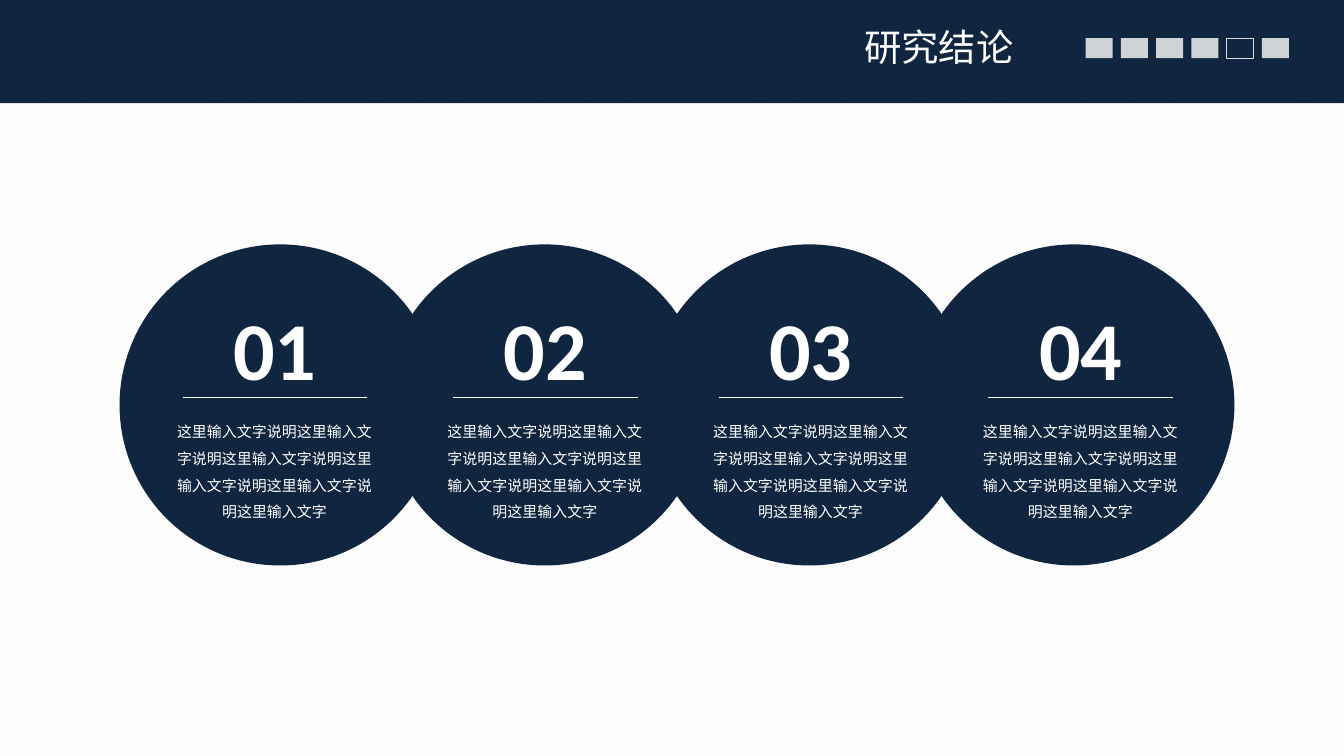
"""Build the research conclusions slide: four overlapping numbered circles under a header band."""
import dataclasses

import lxml.etree
import pptx
import pptx.dml.color
import pptx.enum.dml
import pptx.enum.shapes
import pptx.enum.text
import pptx.oxml.ns
import pptx.util

Cm = pptx.util.Cm
Pt = pptx.util.Pt
Shape = pptx.enum.shapes.MSO_SHAPE
Align = pptx.enum.text.PP_ALIGN
qn = pptx.oxml.ns.qn

HEADING = "研究结论"
STEP_COUNT, CURRENT_STEP = 6, 4
EXPLANATION = "这里输入文字说明" * 5 + "这里输入文字"
CONCLUSIONS = [
    {"number": "01", "text_left": 3.3},
    {"number": "02", "text_left": 8.41},
    {"number": "03", "text_left": 13.43},
    {"number": "04", "text_left": 18.53},
]


@dataclasses.dataclass(frozen=True)
class Theme:
    """Colours, fonts and type sizes."""
    navy: str = "10253F"
    white: str = "FFFFFF"
    stripe: str = "F2F2F2"
    outline: str = "D9D9D9"
    chinese: str = "Noto Sans CJK SC"
    latin: str = "Calibri"
    heading: int = 20
    number: int = 44
    body: int = 8
    hairline: float = 0.5


THEME = Theme()


def rgb(value):
    """Turn a hex string into a colour."""
    return pptx.dml.color.RGBColor.from_string(value)


def add_block(shapes, kind, left, top, width, height, fill=None, opacity=100):
    """Add a flat preset shape, outlined only when it has no fill."""
    block = shapes.add_shape(kind, Cm(left), Cm(top), Cm(width), Cm(height))
    block.shadow.inherit = False
    if fill is None:
        block.fill.background()
        block.line.color.rgb = rgb(THEME.outline)
        block.line.width = Pt(THEME.hairline)
        return
    block.fill.solid()
    block.fill.fore_color.rgb = rgb(fill)
    block.line.fill.background()
    if opacity < 100:
        colour = block.fill._xPr.find(qn("a:solidFill"))[0]
        lxml.etree.SubElement(colour, qn("a:alpha"), val=str(opacity * 1000))


def add_text(shapes, words, box, size, font, align, before, spacing=1.0, bold=False, inset=True):
    """Add a wrapped white text box with one paragraph."""
    label = shapes.add_textbox(*map(Cm, box))
    frame = label.text_frame
    frame.word_wrap = True
    if not inset:
        frame.margin_left = frame.margin_right = frame.margin_top = frame.margin_bottom = 0
    frame.text = words
    paragraph = frame.paragraphs[0]
    paragraph.alignment = align
    paragraph.space_before = Pt(before)
    paragraph.line_spacing = spacing
    style = paragraph.runs[0].font
    style.size, style.bold, style.name = Pt(size), bold, font
    style.color.rgb = rgb(THEME.white)
    lxml.etree.SubElement(style._element, qn("a:ea"), typeface=font)


def add_rule(shapes, left, right, top):
    """Add a thin white horizontal line."""
    rule = shapes.add_connector(pptx.enum.shapes.MSO_CONNECTOR.STRAIGHT,
                                Cm(left), Cm(top), Cm(right), Cm(top))
    rule.line.color.rgb = rgb(THEME.white)
    rule.line.width = Pt(THEME.hairline)
    lxml.etree.SubElement(rule._element.spPr, qn("a:effectLst"))


deck = pptx.Presentation()
deck.slide_width, deck.slide_height = Cm(25.4), Cm(14.29)
slide = deck.slides.add_slide(deck.slide_layouts[6])

backdrop = slide.background.fill
backdrop.patterned()
backdrop.pattern = pptx.enum.dml.MSO_PATTERN.LIGHT_UPWARD_DIAGONAL
backdrop.fore_color.rgb = rgb(THEME.stripe)
backdrop.back_color.rgb = rgb(THEME.white)

add_block(slide.shapes, Shape.RECTANGLE, 0, 0, 25.4, 1.95, THEME.navy)
first_step, last_step = 20.52, 23.85
step_pitch = (last_step - first_step) / (STEP_COUNT - 1)
for step in range(STEP_COUNT):
    add_block(slide.shapes, Shape.RECTANGLE, first_step + step * step_pitch, 0.72, 0.51, 0.38,
              None if step == CURRENT_STEP else THEME.white, 80)
add_text(slide.shapes, HEADING, (9.02, 0.33, 10.39, 1.27),
         THEME.heading, THEME.chinese, Align.RIGHT, before=4)

circle_left, circle_pitch, diameter = 2.26, 5, 6.07
for index, conclusion in enumerate(CONCLUSIONS):
    group = slide.shapes.add_group_shape().shapes
    left = conclusion["text_left"]
    add_block(group, Shape.OVAL, circle_left + index * circle_pitch, 4.62,
              diameter, diameter, THEME.navy)
    add_text(group, EXPLANATION, (left, 7.82, 3.78, 2.06), THEME.body, THEME.chinese,
             Align.CENTER, before=3, spacing=1.5, inset=False)
    add_text(group, conclusion["number"], (left + 0.6, 5.26, 2.59, 2.26), THEME.number,
             THEME.latin, Align.CENTER, before=3, spacing=1.2, bold=True, inset=False)
    add_rule(group, left + 0.15, left + 3.64, 7.51)

deck.save("out.pptx")
